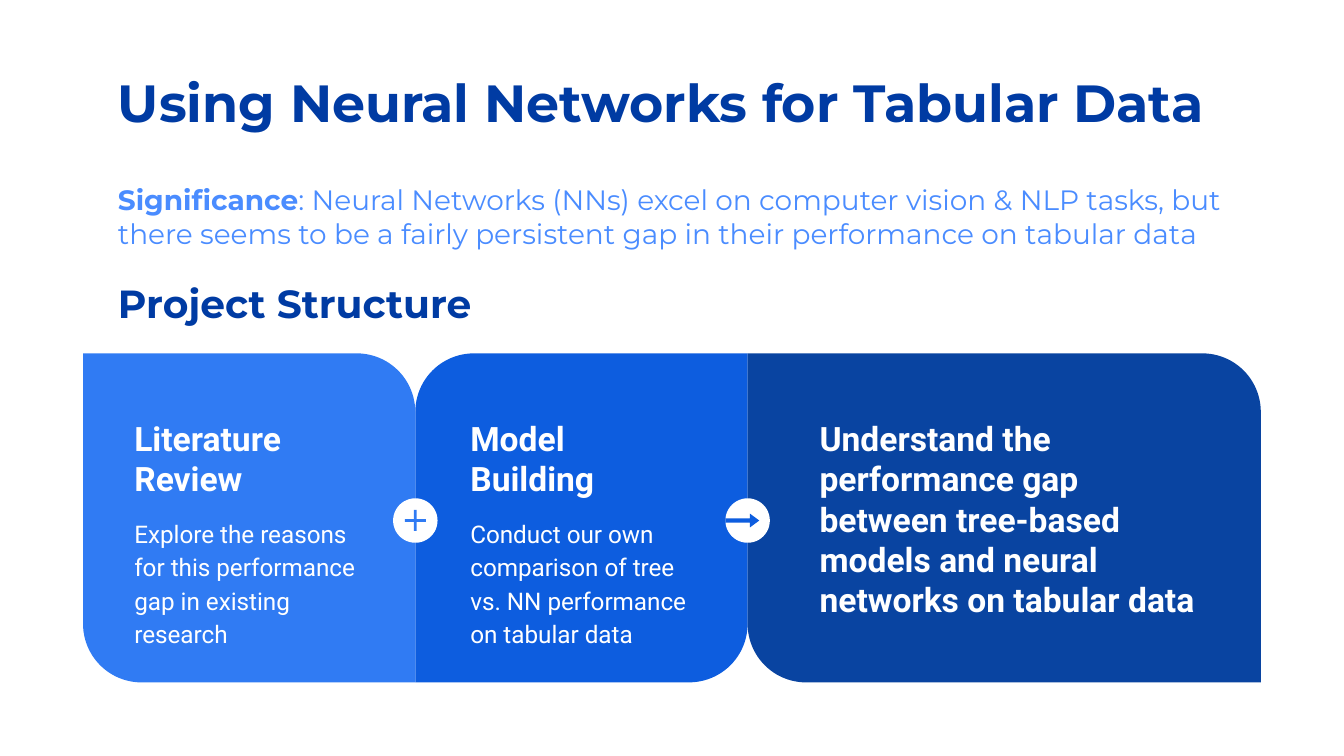
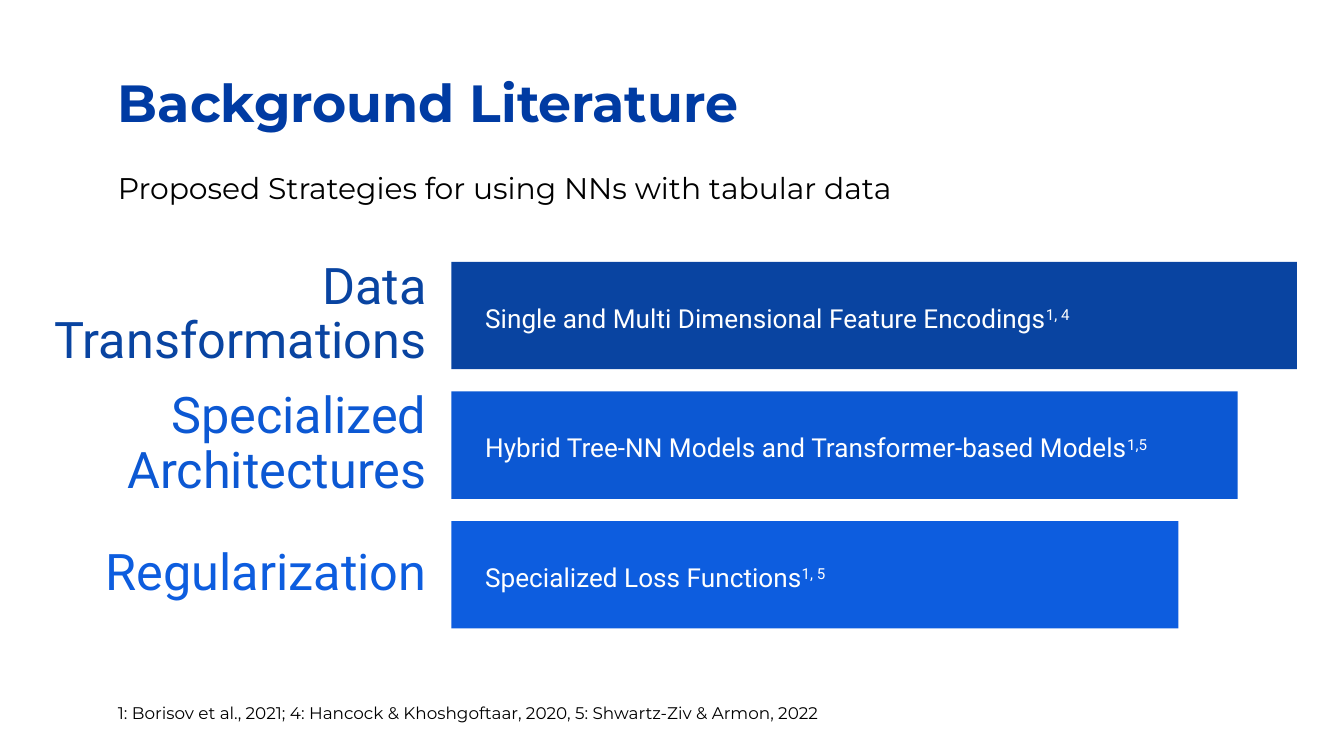
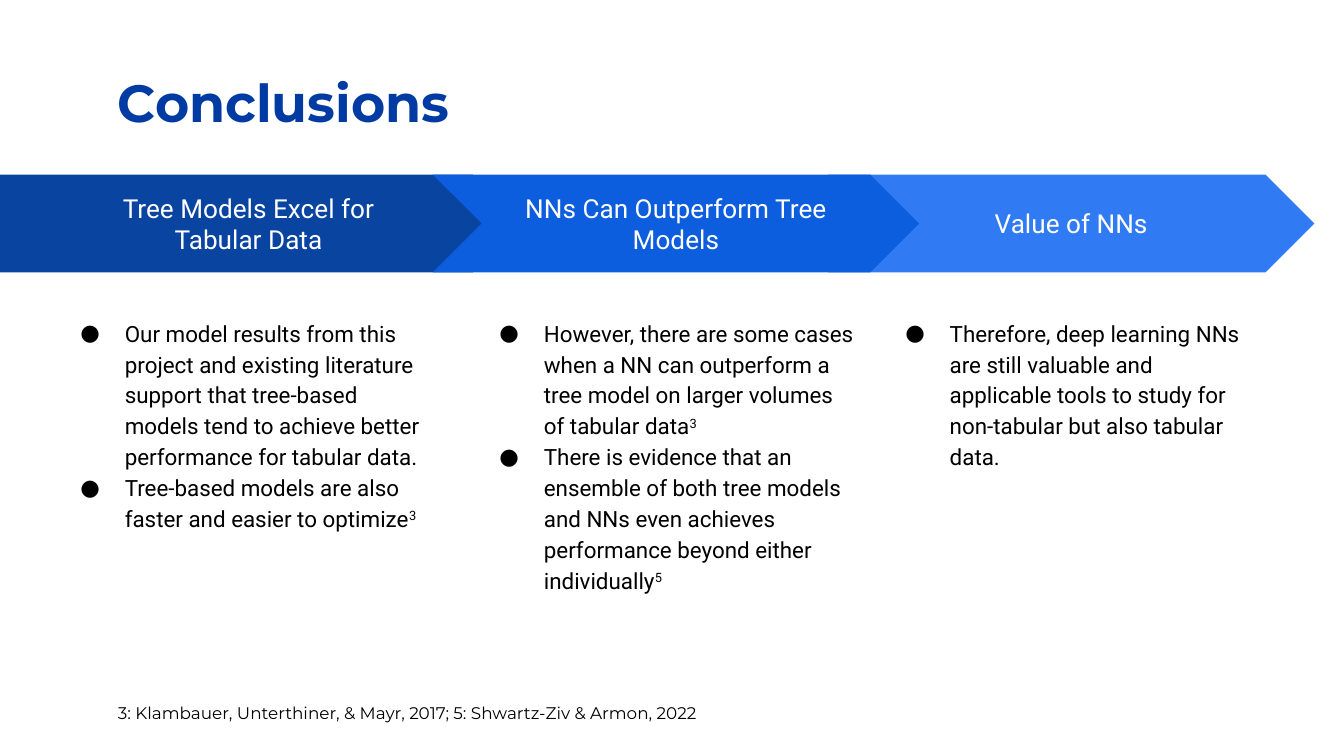
"""Build three slides on neural networks for tabular data."""
from dataclasses import dataclass, replace

import lxml.etree
import pptx
import pptx.dml.color
import pptx.enum.shapes
import pptx.enum.text
import pptx.oxml.ns
import pptx.util

Cm = pptx.util.Cm
Pt = pptx.util.Pt
SHAPE = pptx.enum.shapes.MSO_SHAPE
ALIGN = pptx.enum.text.PP_ALIGN
ANCHOR = pptx.enum.text.MSO_ANCHOR

WHITE, BLACK = "FFFFFF", "000000"
TITLE_BLUE, PALE_BLUE = "003BA3", "4A8CFF"
NAVY, ROYAL, BLUE, SKY = "0944A1", "0C58D3", "0D5DDF", "307BF3"
MARGIN, CONTENT_WIDTH = 1.98, 21.44


@dataclass(frozen=True)
class Style:
    """Describe the look of a run."""
    size: float
    color: str
    font: str = "Roboto"
    bold: bool = False
    baseline: int = 0


TITLE = Style(28, TITLE_BLUE, "Montserrat", True)
SUBTITLE = Style(16, BLACK, "Montserrat")
LEAD = Style(15, PALE_BLUE, "Montserrat")
SECTION = Style(21, TITLE_BLUE, "Montserrat", True)
FOOTNOTE = Style(9, BLACK, "Montserrat")
CARD_HEADING = Style(18, WHITE, bold=True)
CARD_DETAIL = Style(13, WHITE)
BAR_TEXT = Style(14, WHITE)
NOTE = Style(12, BLACK)


def rgb(color):
    """Return the colour for a hex string."""
    return pptx.dml.color.RGBColor.from_string(color)


def add_run(paragraph, text, style):
    """Append a styled run to a paragraph."""
    run = paragraph.add_run()
    run.text = text
    run.font.name = style.font
    run.font.size = Pt(style.size)
    run.font.bold = style.bold
    run.font.color.rgb = rgb(style.color)
    if style.baseline:
        run._r.get_or_add_rPr().set("baseline", str(style.baseline * 1000))


def add_cited(paragraph, text, citation, style):
    """Append text followed by its superscript citation, if any."""
    add_run(paragraph, text, style)
    if citation:
        add_run(paragraph, citation, replace(style, baseline=30))


def set_frame(shape, inset=0.25, anchor=ANCHOR.TOP):
    """Set wrapping, margins and anchor, and return the text frame."""
    frame = shape.text_frame
    frame.word_wrap = True
    frame.margin_left = frame.margin_right = Cm(0.25)
    frame.margin_top = frame.margin_bottom = Cm(inset)
    frame.vertical_anchor = anchor
    return frame


def add_text_frame(slide, left, top, width, height, **options):
    """Add a text box and return its frame."""
    box = slide.shapes.add_textbox(Cm(left), Cm(top), Cm(width), Cm(height))
    return set_frame(box, **options)


def add_text(slide, left, top, width, height, text, style, spacing=1.0):
    """Add a text box holding one run and return its paragraph."""
    paragraph = add_text_frame(slide, left, top, width, height).paragraphs[0]
    paragraph.line_spacing = spacing
    add_run(paragraph, text, style)
    return paragraph


def add_filled(slide, kind, left, top, width, height, color, adjustments=()):
    """Add a flat preset shape with no outline."""
    shape = slide.shapes.add_shape(kind, Cm(left), Cm(top), Cm(width), Cm(height))
    shape.shadow.inherit = False
    shape.fill.solid()
    shape.fill.fore_color.rgb = rgb(color)
    shape.line.fill.background()
    for index, value in enumerate(adjustments):
        shape.adjustments[index] = value
    return shape


def add_titled_slide(presentation, title):
    """Add a blank slide with the shared title."""
    slide = presentation.slides.add_slide(presentation.slide_layouts[6])
    add_text(slide, MARGIN, 1.07, CONTENT_WIDTH, 1.6, title, TITLE)
    return slide


def add_footnote(slide, text):
    """Add the references at the foot of a slide."""
    add_text(slide, MARGIN, 12.85, 20.37, 0.89, text, FOOTNOTE, 1.5)


def add_card(slide, left, width, color, corners, text_inset, heading, detail):
    """Add a card with two rounded corners, a heading and a detail."""
    add_filled(slide, SHAPE.ROUND_2_DIAG_RECTANGLE, left, 6.68, width, 6.22,
               color, corners)
    text_left, text_width = left + text_inset, width - 1.58
    if width > 9:
        text_width = 7.82
    add_text(slide, text_left, 7.65, text_width, 1.83, heading, CARD_HEADING)
    if detail:
        add_text(slide, text_left, 9.48, text_width, 2.03, detail,
                 CARD_DETAIL, 1.15)


def add_badge(slide, center, kind, color, symbol_left, width, height, adjustments):
    """Add a white circle with a symbol on the seam between two cards."""
    diameter, middle = 0.84, 9.84
    add_filled(slide, SHAPE.OVAL, center - diameter / 2, middle - diameter / 2,
               diameter, diameter, WHITE)
    add_filled(slide, kind, symbol_left, middle - height / 2, width, height,
               color, adjustments)


def add_strategy(slide, top, bar_width, label_width, color, label, text, citation):
    """Add a right-aligned label and the bar that explains it."""
    bar_left, bar_height, text_height = 8.53, 2.03, 0.91
    frame = add_text_frame(slide, 8.31 - label_width, top + 0.13, label_width, 1.75,
                           inset=0.13, anchor=ANCHOR.MIDDLE)
    paragraph = frame.paragraphs[0]
    paragraph.alignment = ALIGN.RIGHT
    paragraph.line_spacing = 0.9
    add_run(paragraph, label, Style(27, color))
    add_filled(slide, SHAPE.RECTANGLE, bar_left, top, bar_width, bar_height, color)
    frame = add_text_frame(slide, bar_left + 0.39, top + (bar_height - text_height) / 2,
                           bar_width - 1.5, text_height,
                           inset=0.13, anchor=ANCHOR.MIDDLE)
    frame.paragraphs[0].line_spacing = 1.15
    add_cited(frame.paragraphs[0], text, citation, BAR_TEXT)


def add_stage(slide, kind, left, width, color, lines):
    """Add one arrow of the banner with centred lines."""
    arrow = add_filled(slide, kind, left, 3.3, width, 1.85, color, [0.5])
    frame = set_frame(arrow, anchor=ANCHOR.MIDDLE)
    for index, line in enumerate(lines):
        paragraph = frame.add_paragraph() if index else frame.paragraphs[0]
        paragraph.alignment = ALIGN.CENTER
        add_run(paragraph, line, BAR_TEXT)


def set_bullet(paragraph):
    """Give a paragraph a round black bullet with a hanging indent."""
    qn = pptx.oxml.ns.qn
    properties = paragraph._p.get_or_add_pPr()
    properties.set("marL", str(Cm(1.27)))
    properties.set("indent", str(Cm(-0.84)))
    color = lxml.etree.SubElement(properties, qn("a:buClr"))
    lxml.etree.SubElement(color, qn("a:srgbClr"), val=BLACK)
    lxml.etree.SubElement(properties, qn("a:buFont"), typeface="Roboto")
    lxml.etree.SubElement(properties, qn("a:buChar"), char="●")


def add_notes_column(slide, left, width, notes):
    """Add a column of bulleted notes with citations."""
    frame = add_text_frame(slide, left, 5.72, width, 7.26)
    for index, (text, citation) in enumerate(notes):
        paragraph = frame.add_paragraph() if index else frame.paragraphs[0]
        paragraph.line_spacing = 1.15
        set_bullet(paragraph)
        add_cited(paragraph, text, citation, NOTE)


def build_overview(presentation):
    """Build the slide on significance and project structure."""
    slide = add_titled_slide(presentation, "Using Neural Networks for Tabular Data")
    frame = add_text_frame(slide, MARGIN, 3.2, CONTENT_WIDTH, 9.5)
    add_run(frame.paragraphs[0], "Significance", replace(LEAD, bold=True))
    add_run(frame.paragraphs[0],
            ": Neural Networks (NNs) excel on computer vision & NLP tasks, but there "
            "seems to be a fairly persistent gap in their performance on tabular data",
            LEAD)
    section = frame.add_paragraph()
    section.space_before = section.space_after = Pt(16)
    add_run(section, "Project Structure", SECTION)

    first, card_width = 1.57, 6.28
    second, third = first + card_width, first + 2 * card_width
    top_right, top_left = (0, 0.178), (0.178, 0)
    add_card(slide, second, card_width, BLUE, top_left, 0.79, "Model Building",
             "Conduct our own comparison of tree vs. NN performance on tabular data")
    add_card(slide, first, card_width, SKY, top_right, 0.72, "Literature Review",
             "Explore the reasons for this performance gap in existing research")
    add_card(slide, third, 9.7, NAVY, top_right, 1.11,
             "Understand the performance gap between tree-based models and neural "
             "networks on tabular data", None)
    add_badge(slide, third, SHAPE.RIGHT_ARROW, BLUE, third - 0.42, 0.64, 0.26,
              (0.32, 0.67))
    add_badge(slide, second, SHAPE.MATH_PLUS, SKY, second - 0.27, 0.54, 0.54, (0.1,))


def build_literature(presentation):
    """Build the slide on strategies from the literature."""
    slide = add_titled_slide(presentation, "Background Literature")
    add_text(slide, MARGIN, 2.95, CONTENT_WIDTH, 1.19,
             "Proposed Strategies for using NNs with tabular data", SUBTITLE)
    strategies = [
        (7.7, NAVY, "Data Transformations",
         "Single and Multi Dimensional Feature Encodings", "1, 4"),
        (8.31, ROYAL, "Specialized Architectures",
         "Hybrid Tree-NN Models and Transformer-based Models", "1,5"),
        (6.91, BLUE, "Regularization", "Specialized Loss Functions", "1, 5"),
    ]
    for row, strategy in enumerate(strategies):
        add_strategy(slide, 4.95 + 2.45 * row, 15.98 - 1.12 * row, *strategy)
    add_footnote(slide, "1: Borisov et al., 2021; 4: Hancock & Khoshgoftaar, 2020, "
                        "5: Shwartz-Ziv & Armon, 2022")


def build_conclusions(presentation):
    """Build the slide of conclusions under an arrow banner."""
    slide = add_titled_slide(presentation, "Conclusions")
    add_stage(slide, SHAPE.CHEVRON, 15.65, 9.19, SKY, ["Value of NNs"])
    add_stage(slide, SHAPE.PENTAGON, 0, 9.86, NAVY,
              ["Tree Models Excel for", "Tabular Data"])
    add_stage(slide, SHAPE.CHEVRON, 8.18, 9.19, BLUE,
              ["NNs Can Outperform Tree Models"])
    add_notes_column(slide, 0.84, 7.44, [
        ("Our model results from this project and existing literature support that "
         "tree-based models tend to achieve better performance for tabular data.", None),
        ("Tree-based models are also faster and easier to optimize", "3"),
    ])
    add_notes_column(slide, 8.76, 7.72, [
        ("However, there are some cases when a NN can outperform a tree model on "
         "larger volumes of tabular data", "3"),
        ("There is evidence that an ensemble of both tree models and NNs even "
         "achieves performance beyond either individually", "5"),
    ])
    add_notes_column(slide, 16.43, 7.34, [
        ("Therefore, deep learning NNs are still valuable and applicable tools to "
         "study for non-tabular but also tabular data.", None),
    ])
    add_footnote(slide, "3: Klambauer, Unterthiner, & Mayr, 2017; "
                        "5: Shwartz-Ziv & Armon, 2022")


def main():
    """Build and save the presentation."""
    presentation = pptx.Presentation()
    presentation.slide_width = Cm(25.4)
    presentation.slide_height = Cm(14.29)
    build_overview(presentation)
    build_literature(presentation)
    build_conclusions(presentation)
    presentation.save("out.pptx")


if __name__ == "__main__":
    main()
